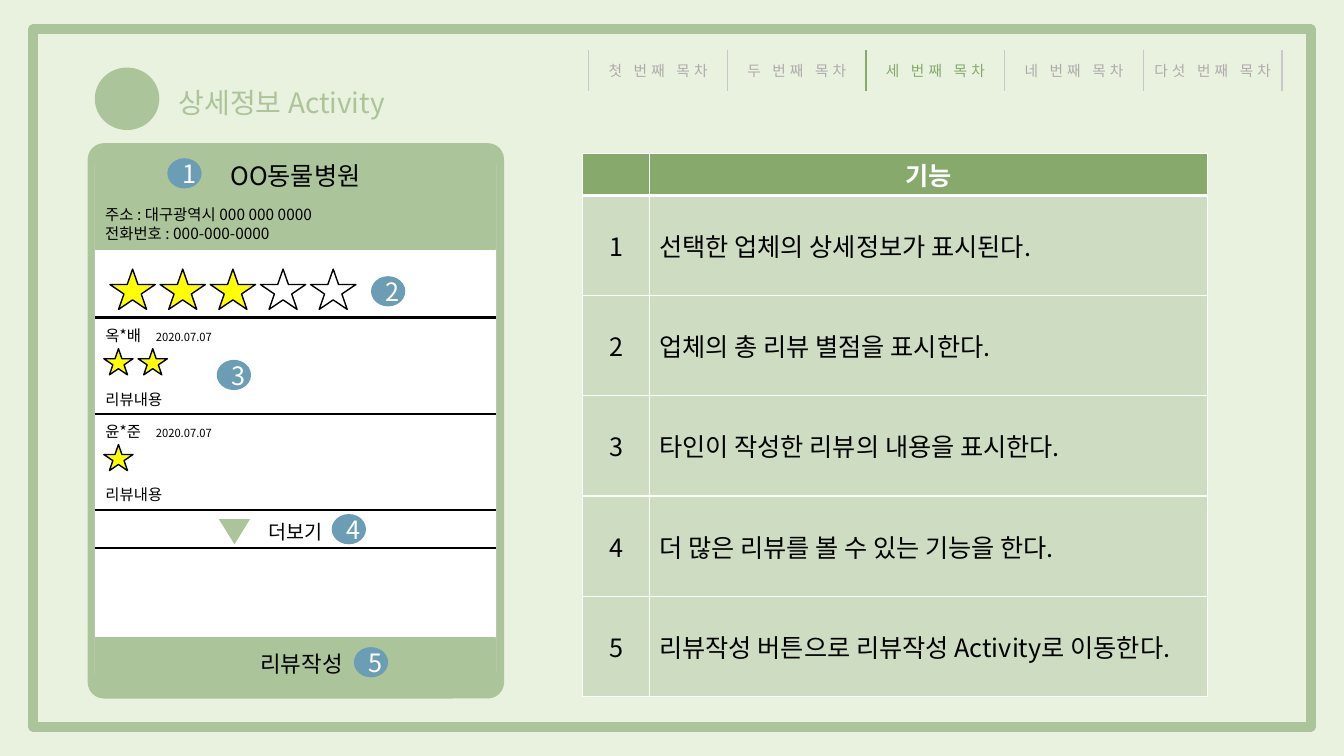
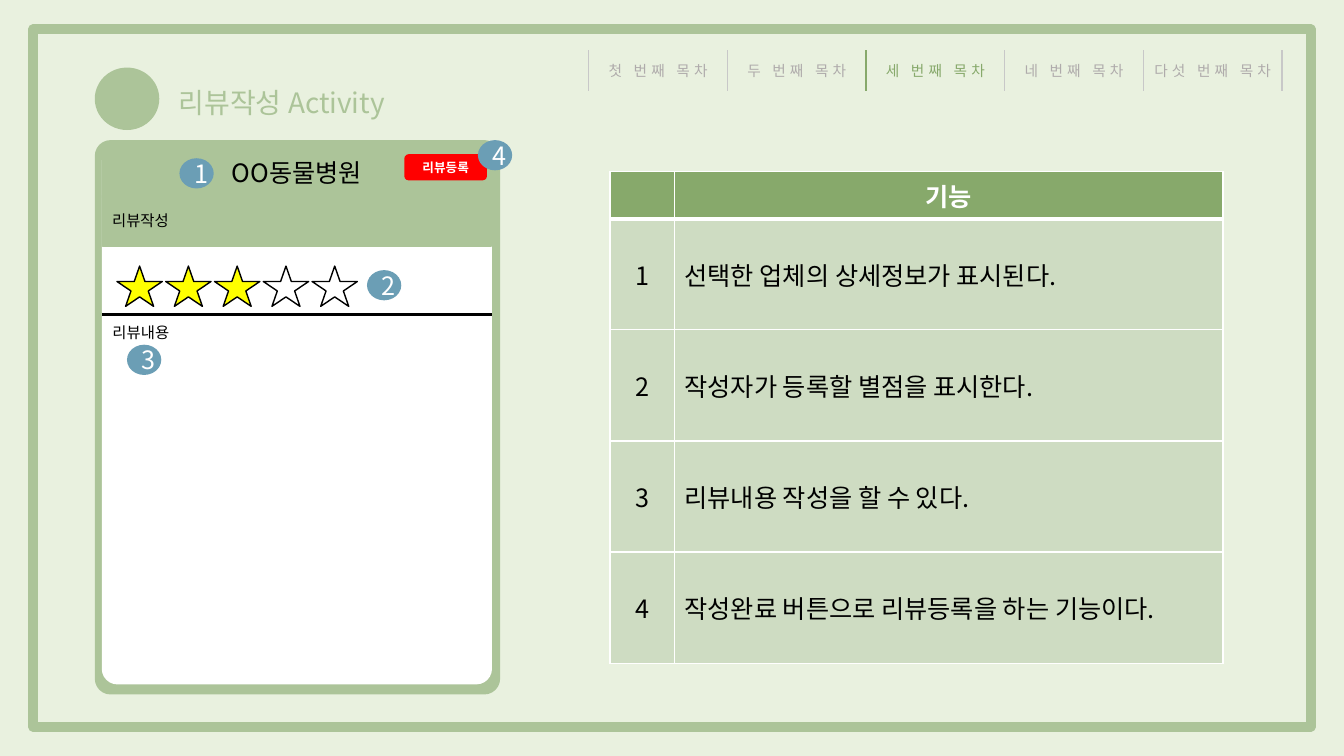
from lxml.etree import SubElement
from pptx import Presentation
from pptx.dml.color import RGBColor
from pptx.enum.shapes import MSO_CONNECTOR, MSO_SHAPE
from pptx.enum.text import MSO_ANCHOR, MSO_AUTO_SIZE, PP_ALIGN
from pptx.oxml.ns import qn
from pptx.util import Inches, Pt

SAGE = RGBColor(0xAC, 0xC4, 0x99)
PALE = RGBColor(0xE9, 0xF1, 0xDF)
LEAF = RGBColor(0x87, 0xA9, 0x6B)
CELL = RGBColor(0xCE, 0xDC, 0xC2)
BLUE = RGBColor(0x6B, 0x9E, 0xB5)
RED = RGBColor(0xFF, 0x00, 0x00)
YELLOW = RGBColor(0xFF, 0xFF, 0x00)
WHITE = RGBColor(0xFF, 0xFF, 0xFF)
BLACK = RGBColor(0x00, 0x00, 0x00)
RULE_GRAY = RGBColor(0xC8, 0xC8, 0xC8)
TEXT_GRAY = RGBColor(0xAF, 0xAB, 0xAB)

FONT = "Noto Sans CJK KR"
TITLE = {"size": Pt(20), "bold": False}
NAVIGATION = {"size": Pt(10.5)}
TABLE_HEAD = {"size": Pt(18), "bold": True}
TABLE_BODY = {"size": Pt(18), "bold": False}
HEADING = {"size": Pt(18)}
BUTTON = {"size": Pt(16)}
MORE = {"size": Pt(14)}
DETAIL = {"size": Pt(11)}
DATE = {"size": Pt(8)}
REGISTER = {"size": Pt(9), "bold": True}

SECTIONS = ["첫 번째 목차", "두 번째 목차", "세 번째 목차", "네 번째 목차", "다섯 번째 목차"]
CURRENT_SECTION = 2
NAV_LEFT, NAV_STEP = 5.84, 1.375
TEXT_BAR_ROUNDING = 0.026


def add_text(para, text, style, color, spacing=None):
    """Append a run in the deck font; spacing is between letters, in points."""
    run = para.add_run()
    run.text = text
    for name, value in style.items():
        setattr(run.font, name, value)
    run.font.name = FONT
    run.font.color.rgb = color
    properties = run.font._element
    SubElement(properties, qn("a:ea")).set("typeface", FONT)
    if spacing:
        properties.set("spc", str(spacing * 100))


def add_figure(shapes, kind, place, fill=None, line=None, line_width=1, rounding=None):
    """Add a preset shape at place: left, top, width, height in inches."""
    figure = shapes.add_shape(kind, *map(Inches, place))
    figure.shadow.inherit = False
    if rounding is not None:
        figure.adjustments[0] = rounding
    if fill is None:
        figure.fill.background()
    else:
        figure.fill.solid()
        figure.fill.fore_color.rgb = fill
    if line is None:
        figure.line.fill.background()
    else:
        figure.line.color.rgb = line
        figure.line.width = Pt(line_width)
    return figure


def add_line(shapes, start, end, color, width):
    line = shapes.add_connector(MSO_CONNECTOR.STRAIGHT, *map(Inches, start + end))
    line.line.color.rgb = color
    line.line.width = Pt(width)
    SubElement(line.element.spPr, qn("a:effectLst"))


def add_text_bar(shapes, place, lines, style, fill=None, align=PP_ALIGN.LEFT,
                 anchor=MSO_ANCHOR.MIDDLE):
    bar = add_figure(shapes, MSO_SHAPE.ROUNDED_RECTANGLE, place, fill,
                     rounding=TEXT_BAR_ROUNDING)
    frame = bar.text_frame
    frame.vertical_anchor = anchor
    for index, line in enumerate(lines):
        para = frame.add_paragraph() if index else frame.paragraphs[0]
        para.alignment = align
        add_text(para, line, style, BLACK)
    return bar


def add_badge(shapes, number, left, top):
    badge = add_figure(shapes, MSO_SHAPE.OVAL, (left, top, 0.34, 0.3), BLUE)
    badge.text_frame.vertical_anchor = MSO_ANCHOR.MIDDLE
    para = badge.text_frame.paragraphs[0]
    para.alignment = PP_ALIGN.CENTER
    add_text(para, str(number), HEADING, WHITE)


def add_badges(shapes, positions):
    for number, (left, top) in enumerate(positions, 1):
        add_badge(shapes, number, left, top)


def add_stars(shapes, left, top, step, size, filled, total):
    for index in range(total):
        add_figure(shapes, MSO_SHAPE.STAR_5_POINT, (left + index * step, top, *size),
                   YELLOW if index < filled else WHITE, BLACK)


def add_navigation(page):
    for index in range(len(SECTIONS) + 1):
        left = NAV_LEFT + index * NAV_STEP
        current = index == CURRENT_SECTION
        add_line(page.shapes, (left, 0.5), (left, 0.9), LEAF if current else RULE_GRAY, 1)
        if index == len(SECTIONS):
            break
        box = page.shapes.add_textbox(*map(Inches, (left, 0.56, NAV_STEP, 0.28)))
        box.text_frame.word_wrap = False
        para = box.text_frame.paragraphs[0]
        para.alignment = PP_ALIGN.CENTER
        add_text(para, SECTIONS[index], NAVIGATION, LEAF if current else TEXT_GRAY, 3)


def add_page(deck, title):
    """Add a slide with the title, frame and navigation that all slides share."""
    page = deck.slides.add_slide(deck.slide_layouts[5])
    add_figure(page.shapes, MSO_SHAPE.RECTANGLE, (0.33, 0.29, 12.67, 6.92),
               line=SAGE, line_width=7)
    add_figure(page.shapes, MSO_SHAPE.OVAL, (0.94, 0.67, 0.64, 0.62), SAGE)
    box = page.shapes.title
    box.left, box.top, box.width, box.height = map(Inches, (1.67, 0.79, 2.45, 0.44))
    frame = box.text_frame
    frame.word_wrap = False
    frame.auto_size = MSO_AUTO_SIZE.NONE
    frame.vertical_anchor = MSO_ANCHOR.MIDDLE
    frame.paragraphs[0].alignment = PP_ALIGN.LEFT
    add_text(frame.paragraphs[0], title, TITLE, SAGE)
    add_navigation(page)
    return page


def set_borders(cell, widths):
    """Draw white borders; widths maps the sides L, R, T and B to points."""
    for side, width in widths.items():
        border = SubElement(cell._tc.get_or_add_tcPr(), qn(f"a:ln{side}"))
        border.set("w", str(Pt(width)))
        fill = SubElement(border, qn("a:solidFill"))
        SubElement(fill, qn("a:srgbClr")).set("val", str(WHITE))


def add_function_table(page, place, number_width, head_height, functions):
    left, top, width, height = place
    rows = [("", "기능")] + [(str(n), text) for n, text in enumerate(functions, 1)]
    table = page.shapes.add_table(len(rows), 2, *map(Inches, place)).table
    table.horz_banding = False
    table.columns[0].width = Inches(number_width)
    table.columns[1].width = Inches(width - number_width)
    body_height = (height - head_height) / len(functions)
    for row, texts in enumerate(rows):
        head = row == 0
        table.rows[row].height = Inches(head_height if head else body_height)
        for column, text in enumerate(texts):
            cell = table.cell(row, column)
            set_borders(cell, {"L": 1, "R": 1, "T": 3 if row == 1 else 1,
                               "B": 3 if head else 1})
            cell.fill.solid()
            cell.fill.fore_color.rgb = LEAF if head else CELL
            cell.vertical_anchor = MSO_ANCHOR.MIDDLE
            cell.margin_top = cell.margin_bottom = Inches(0.03)
            para = cell.text_frame.paragraphs[0]
            centred = head or column == 0
            para.alignment = PP_ALIGN.CENTER if centred else PP_ALIGN.LEFT
            if text:
                add_text(para, text, TABLE_HEAD if head else TABLE_BODY,
                         WHITE if head else BLACK)


def add_phone(page, screen, details):
    """Draw the app screen with its header and rating; return the group's shapes."""
    left, top, width, height = screen
    phone = page.shapes.add_group_shape().shapes
    add_figure(phone, MSO_SHAPE.ROUNDED_RECTANGLE,
               (left - 0.07, top - 0.06, width + 0.15, height + 0.16), SAGE, rounding=0.039)
    add_figure(phone, MSO_SHAPE.ROUNDED_RECTANGLE, screen, WHITE, rounding=0.04)
    add_text_bar(phone, (left, top, width, 0.52), ["OO동물병원"], HEADING, SAGE,
                 PP_ALIGN.CENTER)
    add_text_bar(phone, (left, top + 0.48, width, 0.52), details, DETAIL, SAGE)
    add_stars(phone, left + 0.15, top + 1.19, width / 8, (0.45, 0.4), 3, 5)
    add_divider(phone, screen, top + 1.67)
    return phone


def add_divider(phone, screen, top):
    left, _, width, _ = screen
    add_line(phone, (left, top), (left + width, top), BLACK, 1.5)


def add_review(phone, screen, top, name, stars):
    left, _, width, _ = screen
    bar = add_text_bar(phone, (left, top, width, 0.95), [f"{name}\t", "리뷰내용"], DETAIL)
    heading, content = bar.text_frame.paragraphs
    add_text(heading, "2020.07.07", DATE, BLACK)
    content.space_before = Pt(32)
    add_stars(phone, left + 0.09, top + 0.29, 0.34, (0.29, 0.26), stars, stars)
    add_divider(phone, screen, top + 0.94)


def build_detail_page(deck):
    page = add_page(deck, "상세정보 Activity")
    add_function_table(page, (5.78, 1.52, 6.2, 5.39), 0.66, 0.42, [
        "선택한 업체의 상세정보가 표시된다.",
        "업체의 총 리뷰 별점을 표시한다.",
        "타인이 작성한 리뷰의 내용을 표시한다.",
        "더 많은 리뷰를 볼 수 있는 기능을 한다.",
        "리뷰작성 버튼으로 리뷰작성 Activity로 이동한다.",
    ])
    screen = left, _, width, _ = (0.94, 1.48, 3.98, 5.35)
    phone = add_phone(page, screen, ["주소 : 대구광역시 000 000 0000",
                                     "전화번호 : 000-000-0000"])
    add_review(phone, screen, 3.17, "옥*배", 2)
    add_review(phone, screen, 4.12, "윤*준", 1)
    add_divider(phone, screen, 5.44)
    arrow = add_figure(phone, MSO_SHAPE.ISOSCELES_TRIANGLE, (2.17, 5.15, 0.31, 0.25), SAGE)
    arrow.rotation = 180
    add_text_bar(phone, (left, 5.06, width, 0.42), ["더보기"], MORE, align=PP_ALIGN.CENTER)
    button = add_text_bar(phone, (left, 6.32, width, 0.52), ["리뷰작성"], BUTTON, SAGE,
                          PP_ALIGN.CENTER)
    button.text_frame.margin_left = Inches(0.22)
    add_badges(phone, [(1.66, 1.57), (3.68, 2.74), (2.15, 3.57), (3.29, 5.1), (3.51, 6.42)])


def build_writing_page(deck):
    page = add_page(deck, "리뷰작성 Activity")
    add_function_table(page, (6.05, 1.7, 6.08, 4.88), 0.64, 0.47, [
        "선택한 업체의 상세정보가 표시된다.",
        "작성자가 등록할 별점을 표시한다.",
        "리뷰내용 작성을 할 수 있다.",
        "작성완료 버튼으로 리뷰등록을 하는 기능이다.",
    ])
    screen = left, _, width, _ = (1.01, 1.45, 3.87, 5.34)
    phone = add_phone(page, screen, ["리뷰작성"])
    add_text_bar(phone, (left, 3.15, width, 0.95), ["리뷰내용"], DETAIL,
                 anchor=MSO_ANCHOR.TOP)
    register = add_figure(phone, MSO_SHAPE.ROUNDED_RECTANGLE, (4.01, 1.53, 0.82, 0.26), RED)
    register.text_frame.vertical_anchor = MSO_ANCHOR.MIDDLE
    para = register.text_frame.paragraphs[0]
    para.alignment = PP_ALIGN.CENTER
    add_text(para, "리뷰등록", REGISTER, WHITE)
    add_badges(phone, [(1.78, 1.57), (3.64, 2.68), (1.26, 3.42), (4.74, 1.39)])


def main():
    deck = Presentation()
    deck.slide_width, deck.slide_height = Inches(13.33), Inches(7.5)
    background = deck.slide_master.background.fill
    background.solid()
    background.fore_color.rgb = PALE
    build_detail_page(deck)
    build_writing_page(deck)
    deck.save("out.pptx")


if __name__ == "__main__":
    main()
